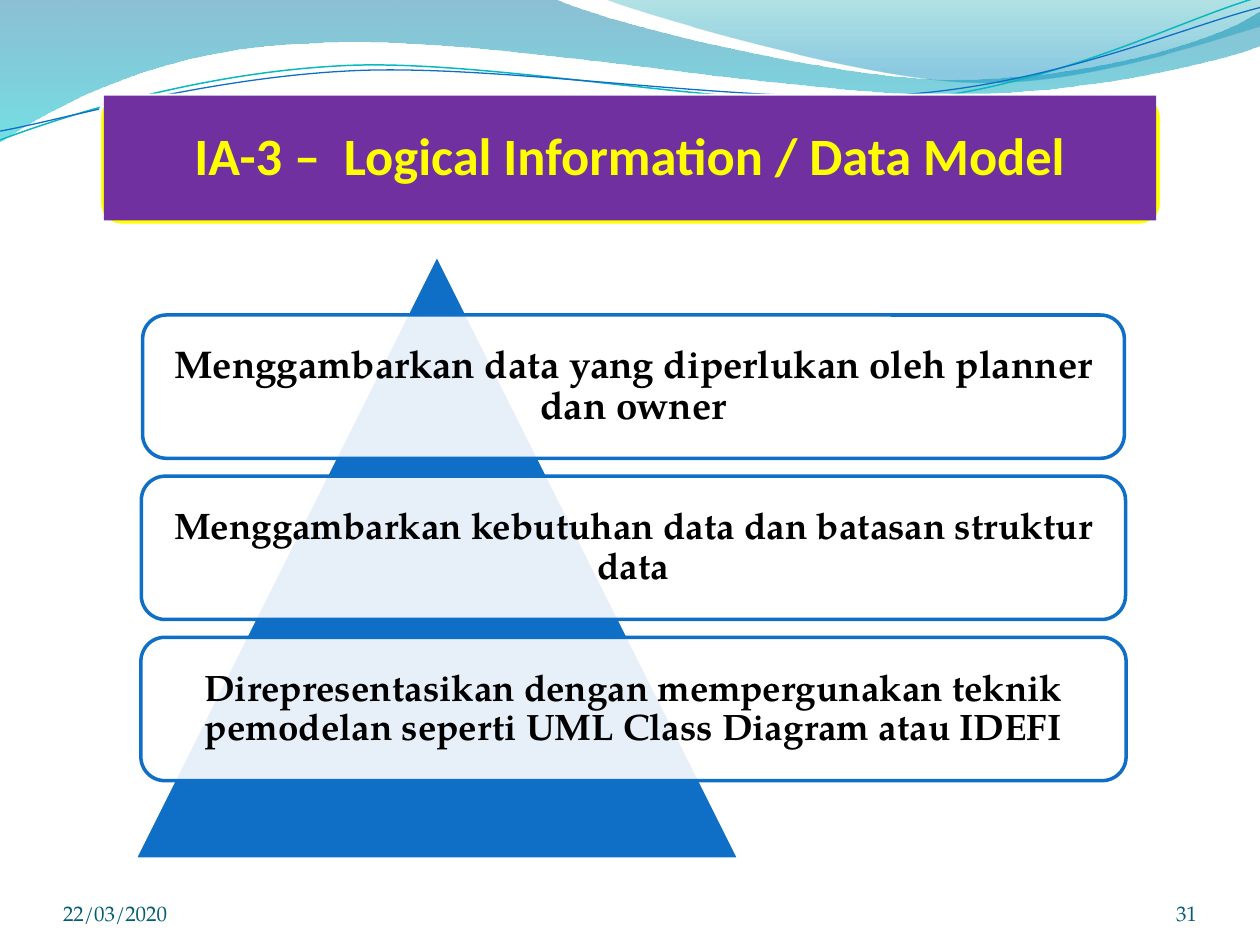
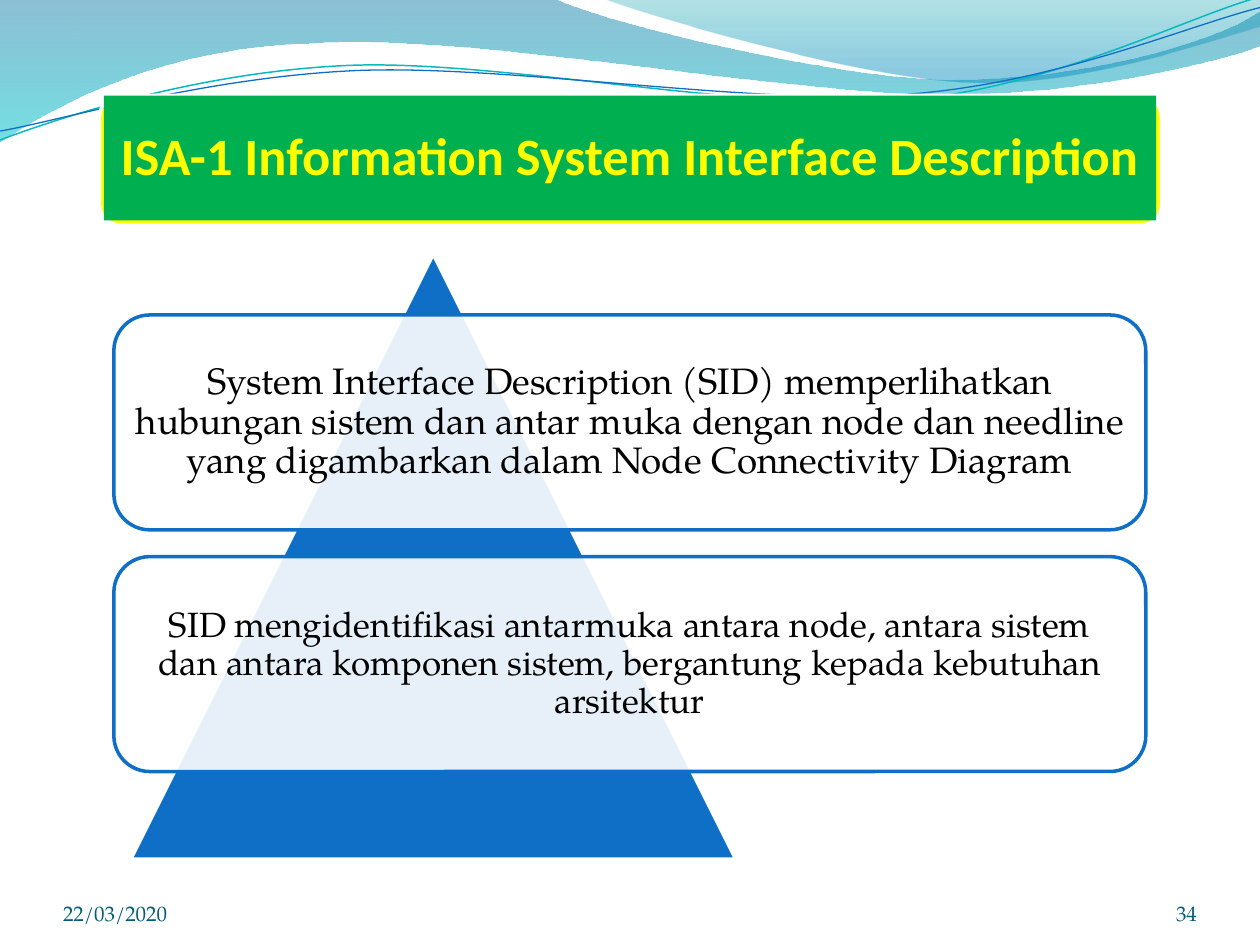
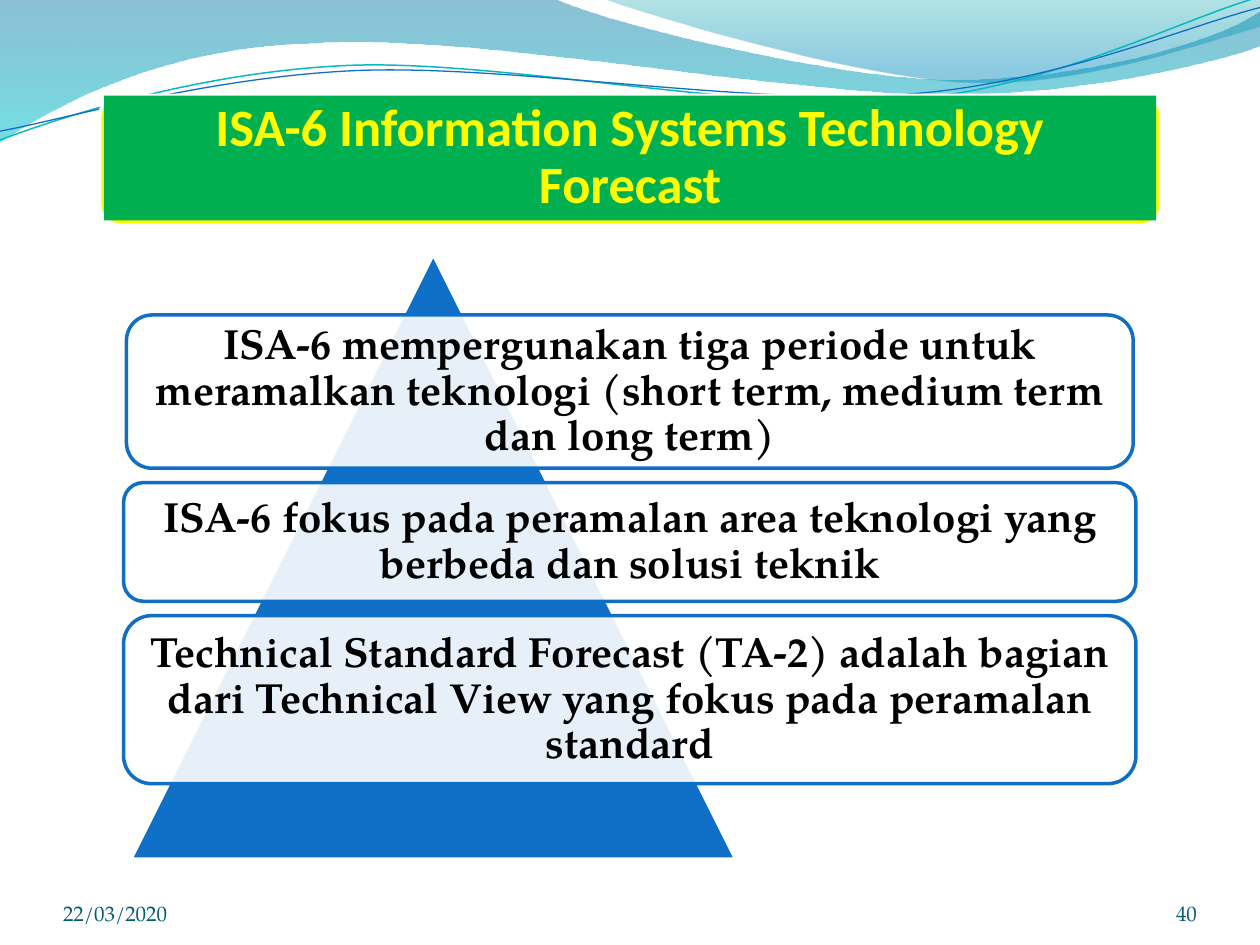
from lxml import etree
from pptx import Presentation
from pptx.dml.color import RGBColor
from pptx.enum import shapes as kinds, text as txt
from pptx.oxml import ns
from pptx.util import Pt

BLUE = RGBColor(0x0F, 0x6F, 0xC6)
TEAL = RGBColor(0x0A, 0xB8, 0xBF)
WHITE = RGBColor(0xFF, 0xFF, 0xFF)
BLACK = RGBColor(0, 0, 0)
YELLOW = RGBColor(0xFF, 0xFF, 0)
PURPLE = RGBColor(0x70, 0x30, 0xA0)
GREEN = RGBColor(0, 0xB0, 0x50)
FOOTER = RGBColor(0x04, 0x5D, 0x75)
BODY_FONT, TITLE_FONT = "TeX Gyre Pagella", "Calibri"

PYRAMID_TOP, PYRAMID_SIDE = 145.3, 345.6
FIRST_BOX_TOP = 180

# Wave outlines: a start point, then lines (2 numbers) or curves (6 numbers).
WIDE_WAVE = [(0, 0), (317, -0.7), (343, 12.2, 478, 45.4, 546, 45.4),
             (614, 45.4, 690, 26.6, 720, 6.5), (721, 26),
             (708, 31.7, 626, 54.7, 537, 54), (448, 54, 275, 20.2, 185, 24.5),
             (93, 26, 33, 59.8, -0.7, 81.4)]
RIGHT_WAVE = [(345, -0.7), (366.5, 8, 491, 44.6, 553.7, 46.8),
              (616, 49.7, 692, 23, 720, 15), (720, 0)]
TEAL_CURVE = [(0, 80), (34.6, 67, 113.8, 41, 199.4, 37.4),
              (284.4, 34, 427, 64, 513.4, 57.6),
              (599.8, 51, 675.4, 10.8, 718.6, -1.4)]
BLUE_CURVE = [(0, 74.9), (33.8, 69, 118, 44, 203.8, 40.3),
              (290, 36.7, 429.8, 60.5, 516.2, 54),
              (601.9, 48.2, 677.5, 15, 720, 4.3)]

# Each box: text, width, height, font size.
SLIDES = [
    dict(title="IA-3 –  Logical Information / Data Model", band=PURPLE, page=31,
         center=362, gap=10.2, bold=True, boxes=[
             ("Menggambarkan data yang diperlukan oleh planner dan owner",
              561, 81.9, 22),
             ("Menggambarkan kebutuhan data dan batasan struktur data",
              562.4, 81.9, 21),
             ("Direpresentasikan dengan mempergunakan teknik pemodelan seperti "
              "UML Class Diagram atau IDEFI", 563, 81.9, 21)]),
    dict(title="ISA-1 Information System Interface Description", band=GREEN,
         page=34, center=359.9, gap=15.3, bold=False, boxes=[
             ("System Interface Description (SID) memperlihatkan hubungan sistem "
              "dan antar muka dengan node dan needline yang digambarkan dalam "
              "Node Connectivity Diagram", 589.7, 122.8, 21),
             ("SID mengidentifikasi antarmuka antara node, antara sistem dan "
              "antara komponen sistem, bergantung kepada kebutuhan arsitektur",
              589.7, 122.8, 20)]),
    dict(title="ISA-6 Information Systems Technology Forecast", band=GREEN,
         page=40, center=359.9, gap=8.2, bold=True, boxes=[
             ("ISA-6 mempergunakan tiga periode untuk meramalkan teknologi "
              "(short term, medium term dan long term)", 575.3, 87.6, 24),
             ("ISA-6 fokus pada peramalan area teknologi yang berbeda dan solusi "
              "teknik", 578.5, 67.8, 24),
             ("Technical Standard Forecast (TA-2) adalah bagian dari Technical "
              "View yang fokus pada peramalan standard", 578.5, 96, 24)]),
]


def set_opacity(shape, *percents):
    colors = shape.element.spPr.xpath(
        "./a:solidFill/a:srgbClr | ./a:gradFill//a:srgbClr")
    for color, percent in zip(colors, percents):
        etree.SubElement(color, ns.qn("a:alpha"), val=str(percent * 1000))


def write(shape, content, size, color, font=BODY_FONT, bold=False, inset=0,
          align=txt.PP_ALIGN.CENTER, anchor=txt.MSO_ANCHOR.MIDDLE, spacing=0.9):
    frame = shape.text_frame
    frame.text = content
    frame.word_wrap = True
    frame.auto_size = txt.MSO_AUTO_SIZE.NONE
    frame.vertical_anchor = anchor
    frame.margin_left = frame.margin_right = Pt(inset)
    frame.margin_top = frame.margin_bottom = Pt(inset)
    paragraph = frame.paragraphs[0]
    paragraph.alignment = align
    paragraph.line_spacing = spacing
    face = paragraph.runs[0].font
    face.name, face.size, face.bold = font, Pt(size), bold
    face.color.rgb = color


def add_block(slide, kind, left, top, width, height, fill, line):
    block = slide.shapes.add_shape(kind, Pt(left), Pt(top), Pt(width), Pt(height))
    block.shadow.inherit = False
    block.fill.solid()
    block.fill.fore_color.rgb = fill
    block.line.color.rgb = line
    block.line.width = Pt(2)
    return block


def add_outline(slide, outline, close):
    """Build all points as lines, then join each curve's three into a Bézier."""
    points = [(Pt(segment[i]), Pt(segment[i + 1]))
              for segment in outline for i in range(0, len(segment), 2)]
    builder = slide.shapes.build_freeform(*points[0], scale=1.0)
    builder.add_line_segments(points[1:], close=close)
    shape = builder.convert_to_shape()
    shape.shadow.inherit = False
    lines = iter(shape.element.spPr.xpath(".//a:path/a:lnTo"))
    for segment in outline[1:]:
        corners = [next(lines) for _ in range(len(segment) // 2)]
        if len(corners) == 3:
            curve = etree.Element(ns.qn("a:cubicBezTo"))
            corners[0].addprevious(curve)
            for corner in corners:
                curve.append(corner[0])
                corner.getparent().remove(corner)
    return shape


def add_wave(slide, outline, stops):
    """Stops hold position, colour and opacity in percent."""
    wave = add_outline(slide, outline, close=True)
    wave.line.fill.background()
    wave.fill.gradient()
    wave.fill.gradient_angle = 270
    for stop, (position, color, _) in zip(wave.fill.gradient_stops, stops):
        stop.position = position
        stop.color.rgb = color
    set_opacity(wave, *(opacity for _, _, opacity in stops))
    return wave


def add_curve(slide, outline, color, width):
    curve = add_outline(slide, outline, close=False)
    curve.fill.background()
    curve.line.color.rgb = color
    curve.line.width = Pt(width)
    return curve


def decorate_layout(layout, slide):
    """Draw the shared waves and title backing, then move them to the layout."""
    for placeholder in list(layout.placeholders):
        if placeholder.placeholder_format.type != kinds.PP_PLACEHOLDER.TITLE:
            placeholder.element.getparent().remove(placeholder.element)
    shared = [
        add_wave(slide, WIDE_WAVE, [(0, RGBColor(0, 0x74, 0xA1), 45),
                                    (1, RGBColor(0, 0xC6, 0xCF), 55)]),
        add_wave(slide, RIGHT_WAVE, [(0, RGBColor(0, 0xA1, 0xA9), 30),
                                     (0.8, RGBColor(0, 0x8B, 0xBF), 45)]),
        add_curve(slide, TEAL_CURVE, TEAL, 0.85),
        add_curve(slide, BLUE_CURVE, BLUE, 0.75),
        add_block(slide, kinds.MSO_SHAPE.ROUNDED_RECTANGLE,
                  56.8, 54.6, 607, 74.2, YELLOW, WHITE),
    ]
    for shape in shared:
        layout.shapes.element.append(shape.element)


def set_title(slide, content, band):
    title = slide.shapes.title
    title.left, title.top = Pt(59.4), Pt(54.6)
    title.width, title.height = Pt(601.2), Pt(71.4)
    title.fill.solid()
    title.fill.fore_color.rgb = band
    write(title, content, 30, YELLOW, font=TITLE_FONT, bold=True, inset=9)


def add_footer(slide, content, left, width, align):
    footer = slide.shapes.add_textbox(Pt(left), Pt(500.4), Pt(width), Pt(28.8))
    write(footer, content, 12, FOOTER, align=align,
          anchor=txt.MSO_ANCHOR.BOTTOM, spacing=1.0)


def add_pyramid(slide, center, gap, bold, boxes):
    add_block(slide, kinds.MSO_SHAPE.ISOSCELES_TRIANGLE, center - 285.1,
              PYRAMID_TOP, PYRAMID_SIDE, PYRAMID_SIDE, BLUE, WHITE)
    top = FIRST_BOX_TOP
    for content, width, height, size in boxes:
        box = add_block(slide, kinds.MSO_SHAPE.ROUNDED_RECTANGLE,
                        center - width / 2, top, width, height, WHITE, BLUE)
        set_opacity(box, 90)
        write(box, content, size, BLACK, bold=bold, inset=0.3 * size)
        top += height + gap


def main():
    deck = Presentation()
    deck.slide_width, deck.slide_height = Pt(720), Pt(540)
    layout = deck.slide_layouts[5]
    for number, page in enumerate(SLIDES):
        slide = deck.slides.add_slide(layout)
        if number == 0:
            decorate_layout(layout, slide)
        set_title(slide, page["title"], page["band"])
        add_footer(slide, "22/03/2020", 36, 168, txt.PP_ALIGN.LEFT)
        add_footer(slide, str(page["page"]), 624, 60, txt.PP_ALIGN.RIGHT)
        add_pyramid(slide, page["center"], page["gap"], page["bold"], page["boxes"])
    deck.save("out.pptx")


if __name__ == "__main__":
    main()
